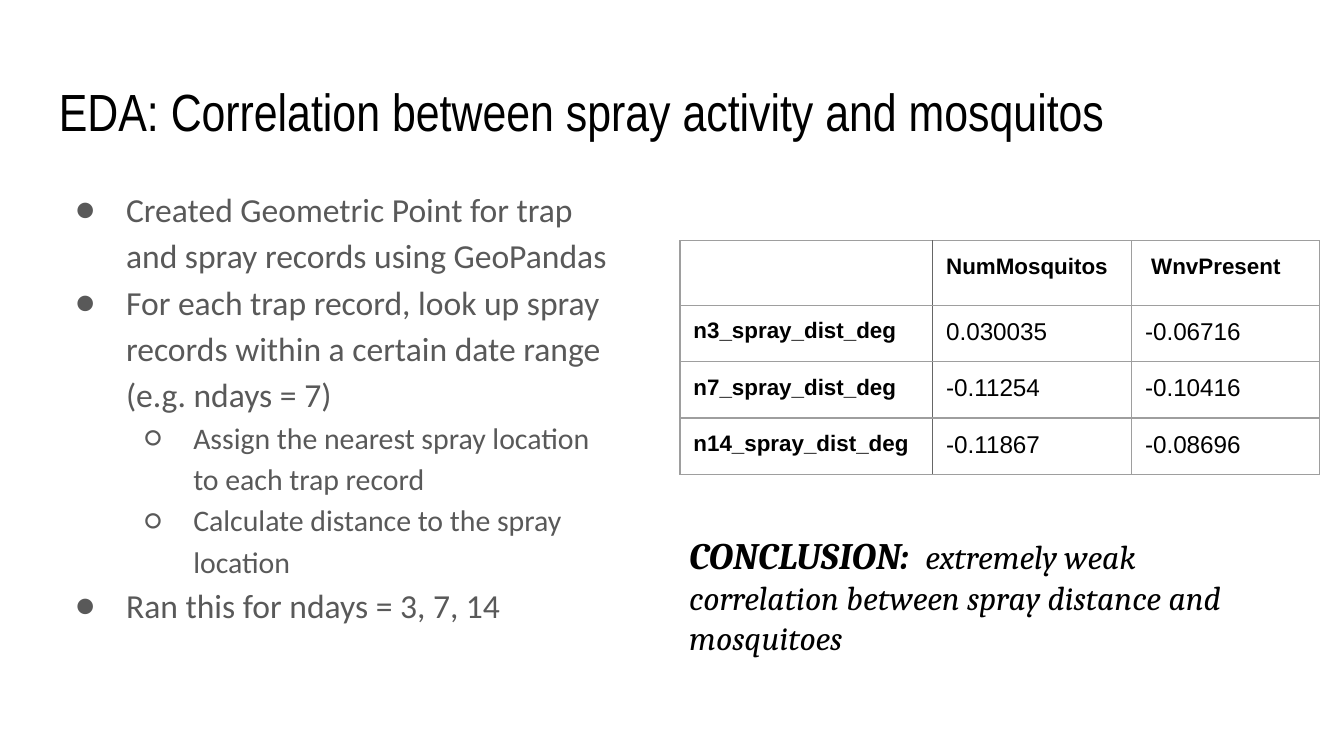
from pptx import Presentation
from pptx.dml.color import RGBColor
from pptx.oxml.ns import qn
from pptx.util import Inches, Pt
from lxml.etree import SubElement, Element

WIDTH = 10
HEIGHT = WIDTH * 9 / 16
MARGIN = 0.34
COLORS = {"ink": "000000", "body": "595959", "grid": "9E9E9E", "divider": "666666"}

TITLE = "EDA: Correlation between spray activity and mosquitos"
STEPS = [
    (0, "Created Geometric Point for trap and spray records using GeoPandas"),
    (0, "For each trap record, look up spray records within a certain date range (e.g. ndays = 7)"),
    (1, "Assign the nearest spray location to each trap record"),
    (1, "Calculate distance to the spray location"),
    (0, "Ran this for ndays = 3, 7, 14"),
]
# bullet, left indent, hanging indent, text size for each level
LEVELS = [("●", 0.5, 0.38, 18), ("○", 1, 0.36, 16)]
CORRELATIONS = [
    ("", "NumMosquitos", " WnvPresent"),
    ("n3_spray_dist_deg", "0.030035", "-0.06716"),
    ("n7_spray_dist_deg", "-0.11254", "-0.10416"),
    ("n14_spray_dist_deg", "-0.11867", "-0.08696"),
]
COLUMN_WIDTHS = [1.88, 1.48, 1.4]
ROW_HEIGHT = 0.42
CONCLUSION = ("CONCLUSION:  ", "extremely weak correlation between spray distance and mosquitoes")


def add_text(paragraph, text, *, size, font="Arial", color="ink", bold=False, italic=False):
    run = paragraph.add_run()
    run.text = text
    run.font.size = Pt(size)
    run.font.name = font
    run.font.bold = bold
    run.font.italic = italic
    run.font.color.rgb = RGBColor.from_string(COLORS[color])


def set_insets(owner):
    owner.margin_left = owner.margin_right = Inches(0.1)
    owner.margin_top = owner.margin_bottom = Inches(0.1)


def add_box(slide, left, top, width, height):
    frame = slide.shapes.add_textbox(*map(Inches, (left, top, width, height))).text_frame
    frame.word_wrap = True
    set_insets(frame)
    return frame


def set_bullet(paragraph, level):
    bullet, indent, hanging, size = LEVELS[level]
    paragraph.level = level
    paragraph.line_spacing = 1.15
    props = paragraph._p.get_or_add_pPr()
    props.set("marL", str(Inches(indent)))
    props.set("indent", str(-Inches(hanging)))
    SubElement(SubElement(props, qn("a:buClr")), qn("a:srgbClr"), val=COLORS["body"])
    SubElement(props, qn("a:buSzPts"), val=str(size * 100))
    SubElement(props, qn("a:buFont"), typeface="Calibri")
    SubElement(props, qn("a:buChar"), char=bullet)


def set_empty_format(paragraph, size, font):
    """Give a paragraph without text the line height of this font."""
    end = SubElement(paragraph._p, qn("a:endParaRPr"), sz=str(size * 100))
    SubElement(end, qn("a:latin"), typeface=font)


def set_borders(cell, column):
    """Grid lines all round, with a darker one between the first two columns."""
    sides = {"lnL": "divider" if column == 1 else "grid",
             "lnR": "divider" if column == 0 else "grid",
             "lnT": "grid", "lnB": "grid"}
    props = cell._tc.get_or_add_tcPr()
    for position, (side, color) in enumerate(sides.items()):
        line = Element(qn(f"a:{side}"), w=str(Pt(0.75)))
        SubElement(SubElement(line, qn("a:solidFill")), qn("a:srgbClr"), val=COLORS[color])
        props.insert(position, line)


def add_correlations(slide, left, top):
    table = slide.shapes.add_table(
        len(CORRELATIONS), len(COLUMN_WIDTHS), Inches(left), Inches(top),
        Inches(sum(COLUMN_WIDTHS)), Inches(ROW_HEIGHT * len(CORRELATIONS))).table
    table.first_row = table.horz_banding = False
    for column, width in zip(table.columns, COLUMN_WIDTHS):
        column.width = Inches(width)
    for row in table.rows:
        row.height = Inches(ROW_HEIGHT)
    for r, record in enumerate(CORRELATIONS):
        for c, value in enumerate(record):
            cell = table.cell(r, c)
            set_insets(cell)
            cell.fill.background()
            set_borders(cell, c)
            paragraph = cell.text_frame.paragraphs[0]
            heading = r == 0 or c == 0
            if value:
                add_text(paragraph, value, size=12 if heading else 13, bold=heading)
            else:
                set_empty_format(paragraph, 18, "Arial")


def main():
    deck = Presentation()
    deck.slide_width, deck.slide_height = Inches(WIDTH), Inches(HEIGHT)
    slide = deck.slides.add_slide(deck.slide_layouts[6])

    add_correlations(slide, 5.06, 1.79)

    steps = add_box(slide, MARGIN, 1.26, 4.37, 3.74)
    for number, (level, step) in enumerate(STEPS):
        paragraph = steps.add_paragraph() if number else steps.paragraphs[0]
        set_bullet(paragraph, level)
        add_text(paragraph, step, size=LEVELS[level][-1], font="Calibri", color="body")

    verdict = add_box(slide, 5.03, 3.86, 4.46, 0.52).paragraphs[0]
    label, finding = CONCLUSION
    add_text(verdict, label, size=20, font="Cambria", bold=True, italic=True)
    add_text(verdict, finding, size=18, font="Cambria", italic=True)

    title = add_box(slide, MARGIN, 0.49, WIDTH - 2 * MARGIN, 0.63).paragraphs[0]
    add_text(title, TITLE, size=28, font="Arial Narrow")

    deck.save("out.pptx")


if __name__ == "__main__":
    main()
